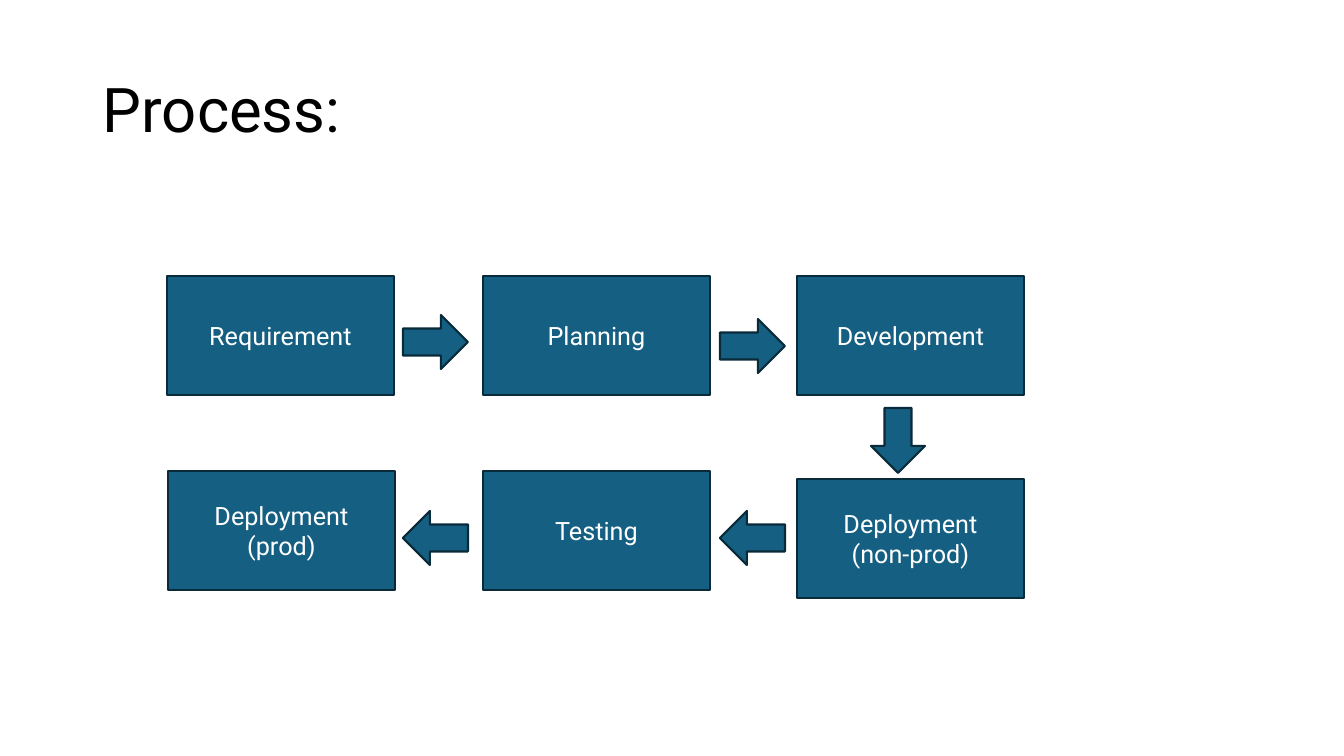
from dataclasses import dataclass

from pptx import Presentation
from pptx.dml.color import RGBColor
from pptx.enum.shapes import MSO_SHAPE as Shape
from pptx.enum.text import MSO_ANCHOR as Anchor, PP_ALIGN as Align
from pptx.util import Pt

EMU_PER_PX = 914400 / 100.8


@dataclass(frozen=True)
class Theme:
    """Colours, font and sizes of the slide."""
    font: str = "Roboto"
    title_color: RGBColor = RGBColor.from_string("000000")
    step_fill: RGBColor = RGBColor.from_string("156082")
    step_line: RGBColor = RGBColor.from_string("092A39")
    step_text: RGBColor = RGBColor.from_string("FFFFFF")
    title_size: Pt = Pt(44)
    step_size: Pt = Pt(18)
    line_width: Pt = Pt(1.5)


THEME = Theme()

STEP_SIZE = (227, 119)
STEPS = [
    ("Requirement", 0, 0),
    ("Planning", 316, 0),
    ("Development", 630, 0),
    ("Deployment\n(non-prod)", 630, 203),
    ("Testing", 316, 195),
    ("Deployment\n(prod)", 1, 195),
]

ARROW_LENGTH, ARROW_BREADTH = 65, 54
ARROWS = [
    (Shape.RIGHT_ARROW, 236, 39),
    (Shape.RIGHT_ARROW, 553, 43),
    (Shape.DOWN_ARROW, 704, 132),
    (Shape.LEFT_ARROW, 553, 235),
    (Shape.LEFT_ARROW, 236, 235),
]


def px(*lengths):
    """Turn pixel lengths into EMU."""
    return [round(length * EMU_PER_PX) for length in lengths]


def write(frame, text, size, color, align):
    """Write one vertically centred paragraph in the theme font."""
    frame.word_wrap = True
    frame.vertical_anchor = Anchor.MIDDLE
    paragraph = frame.paragraphs[0]
    paragraph.text = text
    paragraph.alignment = align
    for run in paragraph.runs:
        run.font.name = THEME.font
        run.font.size = size
        run.font.color.rgb = color
    return paragraph


def add_block(slide, kind, left, top, width, height):
    """Add a filled and outlined shape."""
    block = slide.shapes.add_shape(kind, *px(left, top, width, height))
    block.shadow.inherit = False
    block.fill.solid()
    block.fill.fore_color.rgb = THEME.step_fill
    block.line.color.rgb = THEME.step_line
    block.line.width = THEME.line_width
    return block


def add_title(slide, box, text):
    """Place the heading in its box."""
    heading = slide.shapes.add_textbox(*px(*box))
    paragraph = write(heading.text_frame, text, THEME.title_size,
                      THEME.title_color, Align.LEFT)
    paragraph.line_spacing = 0.9


def add_process(slide, box):
    """Place the steps and the arrows between them."""
    left, top = box[:2]
    for label, x, y in STEPS:
        step = add_block(slide, Shape.RECTANGLE, left + x, top + y, *STEP_SIZE)
        write(step.text_frame, label, THEME.step_size, THEME.step_text, Align.CENTER)
    for direction, x, y in ARROWS:
        size = (ARROW_LENGTH, ARROW_BREADTH)
        if direction == Shape.DOWN_ARROW:
            size = size[::-1]
        add_block(slide, direction, left + x, top + y, *size)


def main():
    """Build and save the slide."""
    deck = Presentation()
    deck.slide_width, deck.slide_height = px(1344, 756)
    slide = deck.slides.add_slide(deck.slide_layouts[6])
    add_title(slide, (93, 40, 1159, 146), "Process:")
    add_process(slide, (167, 276, 857, 322))
    deck.save("out.pptx")


if __name__ == "__main__":
    main()
